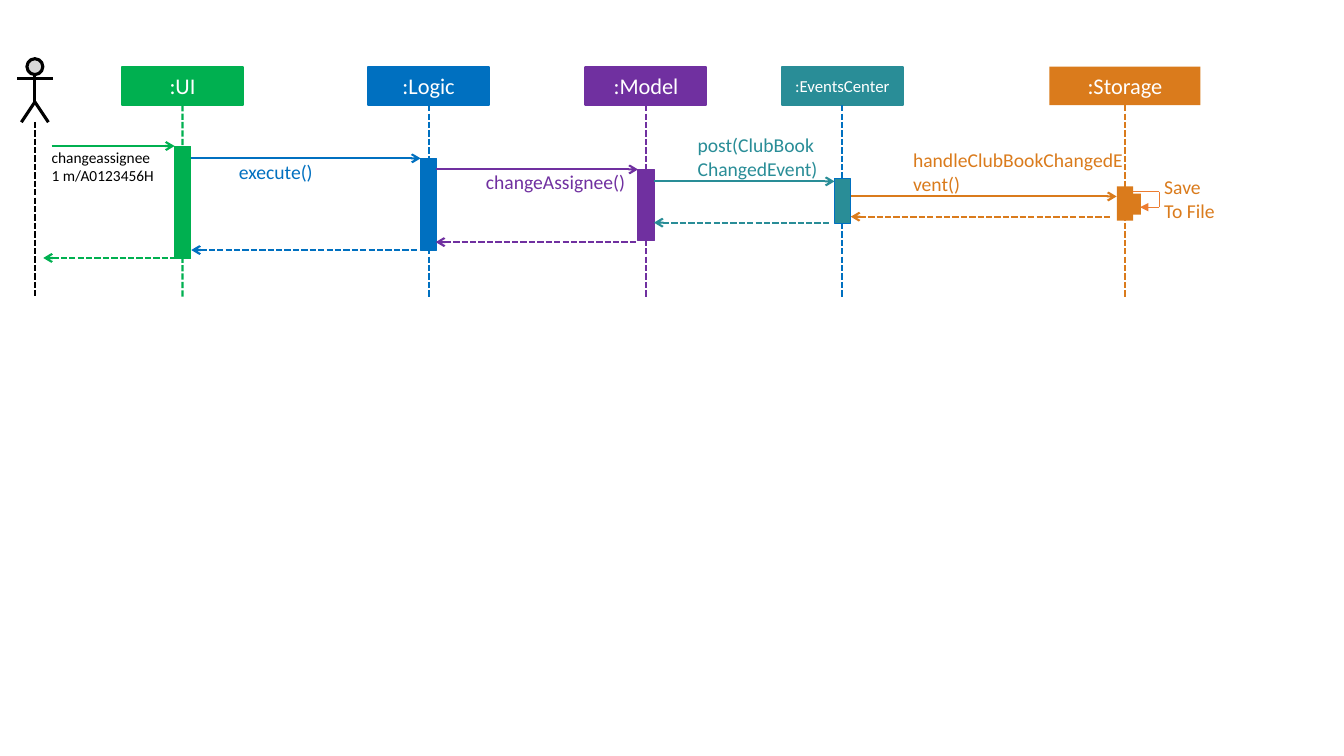
from dataclasses import dataclass

from lxml import etree
from pptx import Presentation, util as u
from pptx.dml import color
from pptx.enum import dml, shapes, text
from pptx.oxml import ns

COLORS = {
    "green": "00B050",
    "blue": "0070C0",
    "purple": "7030A0",
    "teal": "298D97",
    "orange": "DA7B1C",
    "self_call": "ED7D31",
    "black": "000000",
    "gray": "D9D9D9",
    "white": "FFFFFF",
}
FONT = "Calibri"
HEAD_TOP, HEAD_HEIGHT = 1.68, 0.97
BAR_WIDTH = 0.41
LIFELINE_END = 7.49
ACTOR_X = 0.88


@dataclass
class Participant:
    name: str
    center: float
    tint: str
    bar_top: float
    bar_height: float
    width: float = 3.05
    size: int = 16
    trace: str = ""
    outlined: bool = True


@dataclass
class Message:
    start: float
    end: float
    y: float
    tint: str
    reply: bool = False


@dataclass
class Label:
    lines: list[str]
    left: float
    top: float
    width: float
    height: float
    tint: str
    size: int = 14
    align: text.PP_ALIGN = text.PP_ALIGN.LEFT


PARTICIPANTS = [
    Participant(":UI", 4.6, "green", 3.68, 2.84),
    Participant(":Logic", 10.8, "blue", 3.99, 2.31),
    Participant(":Model", 16.28, "purple", 4.27, 1.8),
    Participant(":EventsCenter", 21.23, "teal", 4.5, 1.12, size=12, trace="blue"),
    Participant(":Storage", 28.35, "orange", 4.7, 0.86, width=3.81, outlined=False),
]
MESSAGES = [
    Message(1.3, 4.4, 3.68, "green"),
    Message(4.82, 10.6, 3.99, "blue"),
    Message(10.98, 16.08, 4.27, "purple"),
    Message(16.48, 21.03, 4.57, "teal"),
    Message(21.44, 28.14, 4.95, "orange"),
    Message(21.44, 28.02, 5.46, "orange", True),
    Message(16.48, 20.93, 5.61, "teal", True),
    Message(10.98, 16.08, 6.1, "purple", True),
    Message(4.82, 10.54, 6.3, "blue", True),
    Message(1.09, 4.42, 6.5, "green", True),
]
LABELS = [
    Label(["changeassignee", "1 m/A0123456H"], 1.3, 3.73, 2.84, 0.94, "black", 11),
    Label(["execute()"], 6.02, 4.04, 3.96, 0.6, "blue"),
    Label(["changeAssignee()"], 11.8, 4.27, 3.96, 0.6, "purple",
          align=text.PP_ALIGN.RIGHT),
    Label(["post(ClubBook", "ChangedEvent)"], 17.58, 3.35, 3.38, 1.2, "teal"),
    Label(["handleClubBookChangedEvent()"], 23.01, 3.73, 5.28, 1.2, "orange"),
    Label(["Save", "To File"], 29.34, 4.42, 1.5, 1.2, "orange"),
]


def rgb(tint: str) -> color.RGBColor:
    return color.RGBColor.from_string(COLORS[tint])


def draw_shape(parent, kind, left: float, top: float, width: float, height: float,
               fill: str, line: str = "", weight: float = 0.5):
    shape = parent.add_shape(kind, u.Cm(left), u.Cm(top), u.Cm(width), u.Cm(height))
    shape.shadow.inherit = False
    shape.fill.solid()
    shape.fill.fore_color.rgb = rgb(fill)
    if line:
        shape.line.color.rgb = rgb(line)
        shape.line.width = u.Pt(weight)
    else:
        shape.line.fill.background()
    return shape


def draw_line(parent, x1: float, y1: float, x2: float, y2: float, tint: str,
              weight: float = 1.5, dashed: bool = False, end: str = "",
              arrow: str = "arrow"):
    line = parent.add_connector(shapes.MSO_CONNECTOR.STRAIGHT,
                                u.Cm(x1), u.Cm(y1), u.Cm(x2), u.Cm(y2))
    line.line.color.rgb = rgb(tint)
    line.line.width = u.Pt(weight)
    if dashed:
        line.line.dash_style = dml.MSO_LINE.SQUARE_DOT
    if end:
        etree.SubElement(line.line._get_or_add_ln(), ns.qn(f"a:{end}"), type=arrow)
    etree.SubElement(line._element.spPr, ns.qn("a:effectLst"))
    return line


def write_lines(frame, lines: list[str], size: int, tint: str,
                align: text.PP_ALIGN) -> None:
    for index, line in enumerate(lines):
        para = frame.add_paragraph() if index else frame.paragraphs[0]
        para.alignment = align
        span = para.add_run()
        span.text = line
        span.font.name = FONT
        span.font.size = u.Pt(size)
        span.font.color.rgb = rgb(tint)


def draw_participant(page, item: Participant) -> None:
    trace = item.trace or item.tint
    head = draw_shape(page.shapes, shapes.MSO_SHAPE.RECTANGLE,
                      item.center - item.width / 2, HEAD_TOP, item.width, HEAD_HEIGHT,
                      item.tint, item.tint if item.outlined else "", 1.5)
    head.text_frame.vertical_anchor = text.MSO_ANCHOR.MIDDLE
    write_lines(head.text_frame, [item.name], item.size, "white", text.PP_ALIGN.CENTER)
    lifeline = draw_line(page.shapes, item.center, HEAD_TOP + HEAD_HEIGHT,
                         item.center, LIFELINE_END, trace, dashed=True)
    lifeline.begin_connect(head, 2)
    draw_shape(page.shapes, shapes.MSO_SHAPE.RECTANGLE, item.center - BAR_WIDTH / 2,
               item.bar_top, BAR_WIDTH, item.bar_height, item.tint,
               trace if item.outlined else "")


def draw_actor(page) -> None:
    actor = page.shapes.add_group_shape().shapes
    draw_shape(actor, shapes.MSO_SHAPE.FLOWCHART_CONNECTOR, ACTOR_X - 0.2, 1.48,
               0.4, 0.4, "gray", "black", 2.25)
    draw_line(actor, ACTOR_X, 1.88, ACTOR_X, 2.58, "black", 2.25)
    builder = actor.build_freeform(u.Cm(ACTOR_X - 0.34), u.Cm(3.08))
    builder.add_line_segments([(u.Cm(ACTOR_X), u.Cm(2.57)),
                               (u.Cm(ACTOR_X + 0.34), u.Cm(3.08))], close=False)
    legs = builder.convert_to_shape()
    legs.shadow.inherit = False
    legs.fill.background()
    legs.line.color.rgb = rgb("black")
    legs.line.width = u.Pt(2.25)
    draw_line(actor, ACTOR_X - 0.45, 1.98, ACTOR_X + 0.45, 1.98, "black", 2.25)
    draw_line(page.shapes, ACTOR_X, 3.07, ACTOR_X, LIFELINE_END, "black", dashed=True)


def draw_message(page, item: Message) -> None:
    draw_line(page.shapes, item.start, item.y, item.end, item.y, item.tint,
              dashed=item.reply, end="headEnd" if item.reply else "tailEnd")


def draw_label(page, item: Label) -> None:
    box = page.shapes.add_textbox(u.Cm(item.left), u.Cm(item.top),
                                  u.Cm(item.width), u.Cm(item.height))
    frame = box.text_frame
    frame.word_wrap = True
    frame.auto_size = text.MSO_AUTO_SIZE.SHAPE_TO_FIT_TEXT
    frame.margin_left = frame.margin_right = frame.margin_top = frame.margin_bottom = 0
    write_lines(frame, item.lines, item.size, item.tint, item.align)


def draw_self_call(page) -> None:
    draw_shape(page.shapes, shapes.MSO_SHAPE.RECTANGLE, 28.52, 4.88, 0.23, 0.53, "orange")
    loop = page.shapes.add_group_shape().shapes
    draw_line(loop, 28.55, 4.83, 29.21, 4.83, "self_call", 0.5)
    draw_line(loop, 29.21, 4.83, 29.21, 5.22, "self_call", 0.5)
    draw_line(loop, 29.21, 5.22, 28.73, 5.22, "self_call", 0.5,
              end="tailEnd", arrow="triangle")


def main() -> None:
    deck = Presentation()
    deck.slide_width, deck.slide_height = u.Cm(33.87), u.Cm(19.05)
    page = deck.slides.add_slide(deck.slide_layouts[6])
    draw_actor(page)
    for participant in PARTICIPANTS:
        draw_participant(page, participant)
    for message in MESSAGES:
        draw_message(page, message)
    draw_self_call(page)
    for label in LABELS:
        draw_label(page, label)
    deck.save("out.pptx")


if __name__ == "__main__":
    main()
